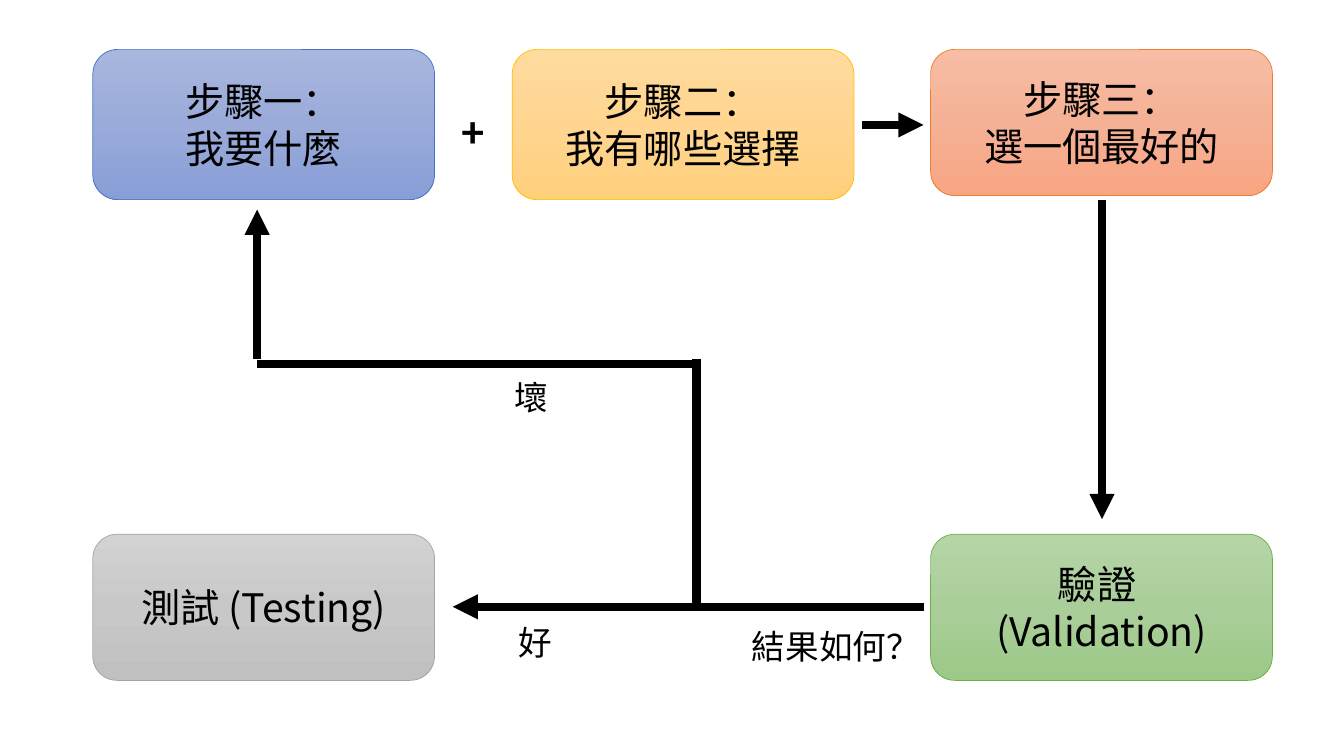
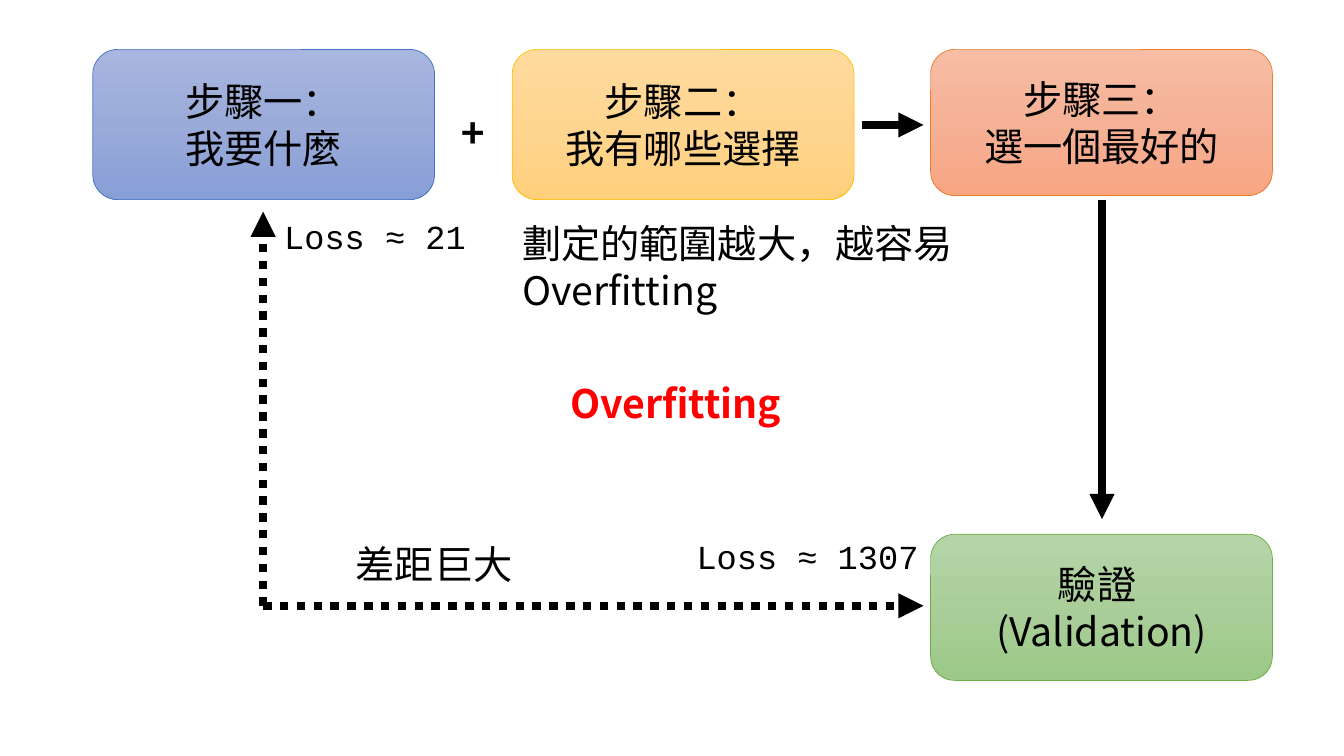
from copy import deepcopy

from lxml import etree
from pptx import Presentation
from pptx import util as u
from pptx.dml.color import RGBColor
from pptx.enum import dml, shapes, text
from pptx.oxml.ns import qn

COLORS = {
    "black": "000000",
    "red": "FF0000",
}
# Outline colour, then gradient from top to bottom
BOX_COLORS = {
    "blue": ("4472C4", "A8B7DF", "9AABD9", "889ED7"),
    "gold": ("FFC000", "FFDB9E", "FFD590", "FFD07C"),
    "orange": ("ED7D31", "F7BDA5", "F5B196", "F8A582"),
    "green": ("70AD47", "B5D5A7", "AACE9A", "9CC987"),
    "gray": ("A5A5A5", "D2D2D2", "C8C8C8", "C0C0C0"),
}
CJK_FONT = "Noto Sans CJK SC"
CODE_FONT = "Courier New"
BOX_WIDTH = 3.39
COLUMNS = (0.92, 5.08, 9.23)
TOP_ROW, BOTTOM_ROW = 0.49, 5.3
BOX_HEIGHT, TALL_BOX_HEIGHT = 1.45, 1.49
ARROW_END_X = 9.16


def write(text_frame, lines, size, font=CJK_FONT, color="black", bold=False,
          align=text.PP_ALIGN.CENTER):
    text_frame.word_wrap = True
    text_frame.text = "\n".join(lines)
    for paragraph in text_frame.paragraphs:
        paragraph.alignment = align
        for run in paragraph.runs:
            run.font.size = u.Pt(size)
            run.font.bold = bold
            run.font.color.rgb = RGBColor.from_string(COLORS[color])
            run.font.name = font
            east_asian = etree.SubElement(run.font._element, qn("a:ea"))
            east_asian.set("typeface", font)


def add_box(slide, left, top, height, color, *lines):
    """Add a rounded step box with a three-stop vertical gradient."""
    shape = slide.shapes.add_shape(
        shapes.MSO_SHAPE.ROUNDED_RECTANGLE, u.Inches(left), u.Inches(top),
        u.Inches(BOX_WIDTH), u.Inches(height))
    shape.shadow.inherit = False
    outline, *gradient = BOX_COLORS[color]
    shape.fill.gradient()
    shape.fill.gradient_angle = 270
    stop_list = shape._element.spPr.find(".//" + qn("a:gsLst"))
    stop_list.insert(1, deepcopy(stop_list[0]))
    for index, stop in enumerate(shape.fill.gradient_stops):
        stop.position = index / 2
        stop.color.rgb = RGBColor.from_string(gradient[index])
    shape.line.color.rgb = RGBColor.from_string(outline)
    shape.line.width = u.Pt(0.5)
    shape.text_frame.vertical_anchor = text.MSO_ANCHOR.MIDDLE
    write(shape.text_frame, lines, 28)


def add_label(slide, left, top, width, height, label, size=24, **style):
    text_box = slide.shapes.add_textbox(*map(u.Inches, (left, top, width, height)))
    write(text_box.text_frame, [label], size, **style)
    text_box.text_frame.auto_size = text.MSO_AUTO_SIZE.SHAPE_TO_FIT_TEXT


def add_line(slide, start, end, arrow=True, dotted=False):
    connector = slide.shapes.add_connector(
        shapes.MSO_CONNECTOR.STRAIGHT, *map(u.Inches, start + end))
    connector.line.color.rgb = RGBColor.from_string(COLORS["black"])
    connector.line.width = u.Pt(6)
    if dotted:
        connector.line.dash_style = dml.MSO_LINE.ROUND_DOT
    if arrow:
        tail = etree.SubElement(connector.line._get_or_add_ln(), qn("a:tailEnd"))
        tail.set("type", "triangle")
    etree.SubElement(connector._element.spPr, qn("a:effectLst"))


def add_flow_slide(presentation):
    """Add a slide with the three steps and the validation box."""
    slide = presentation.slides.add_slide(presentation.slide_layouts[6])
    first, second, third = COLUMNS
    add_box(slide, first, TOP_ROW, TALL_BOX_HEIGHT, "blue", "步驟一：", "我要什麼")
    add_box(slide, second, TOP_ROW, TALL_BOX_HEIGHT, "gold", "步驟二：", "我有哪些選擇")
    add_box(slide, third, TOP_ROW, BOX_HEIGHT, "orange", "步驟三：", "選一個最好的")
    add_box(slide, third, BOTTOM_ROW, BOX_HEIGHT, "green", "驗證 ", "(Validation)")
    add_label(slide, 4.23, 0.97, 0.92, 0.64, "+", 32, font="Calibri", bold=True)
    add_line(slide, (8.55, 1.24), (ARROW_END_X, 1.24))
    add_line(slide, (10.93, 1.98), (10.93, 5.15))
    return slide


def add_result_slide(presentation):
    slide = add_flow_slide(presentation)
    add_box(slide, COLUMNS[0], BOTTOM_ROW, BOX_HEIGHT, "gray", "測試 (Testing)")
    branch_x, return_x = 6.91, 2.55
    add_line(slide, (ARROW_END_X, 6.02), (4.49, 6.02))
    add_line(slide, (branch_x, 6.02), (branch_x, 3.56), arrow=False)
    add_line(slide, (branch_x, 3.61), (return_x, 3.61), arrow=False)
    add_line(slide, (return_x, 3.56), (return_x, 2.08))
    for left, top, width, label in (
            (7.36, 6.16, 1.9, "結果如何？"),
            (5.04, 6.12, 1.64, "好"),
            (5, 3.69, 1.64, "壞")):
        add_label(slide, left, top, width, 0.5, label, align=text.PP_ALIGN.LEFT)


def add_overfitting_slide(presentation):
    slide = add_flow_slide(presentation)
    corner = (2.61, 6.01)
    add_line(slide, corner, (corner[0], 2.1), dotted=True)
    add_line(slide, corner, (ARROW_END_X, corner[1]), dotted=True)
    add_label(slide, 2.92, 5.31, 2.77, 0.57, "差距巨大", 28)
    add_label(slide, 5.36, 3.71, 2.77, 0.57, "Overfitting ", 28, color="red", bold=True)
    left_aligned = {"align": text.PP_ALIGN.LEFT}
    add_label(slide, 2.72, 2.09, 3.02, 0.5, "Loss ≈ 21", font=CODE_FONT, **left_aligned)
    add_label(slide, 6.81, 5.27, 2.65, 0.5, "Loss ≈ 1307", font=CODE_FONT, **left_aligned)
    add_label(slide, COLUMNS[1], 2.13, 4.71, 1.04,
              "劃定的範圍越大，越容易 Overfitting", 28, **left_aligned)


def main():
    presentation = Presentation()
    presentation.slide_width = u.Inches(13.33)
    presentation.slide_height = u.Inches(7.5)
    add_result_slide(presentation)
    add_overfitting_slide(presentation)
    presentation.save("out.pptx")


if __name__ == "__main__":
    main()
